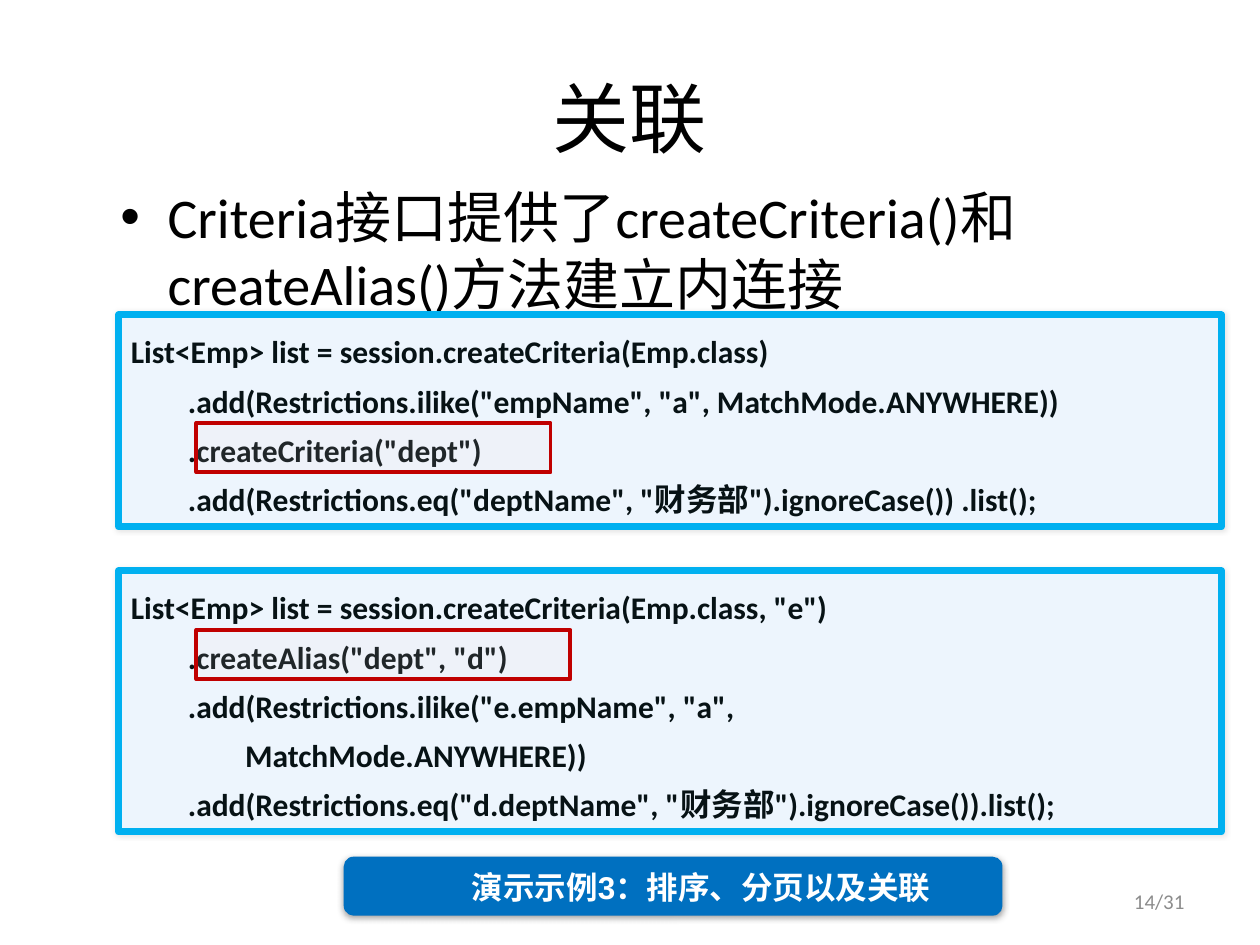
from lxml.etree import SubElement
from pptx import Presentation
from pptx.dml.color import RGBColor
from pptx.enum.shapes import MSO_SHAPE as Kind
from pptx.enum.text import MSO_ANCHOR as Anchor, MSO_AUTO_SIZE as Fit, PP_ALIGN as Align
from pptx.oxml import parse_xml
from pptx.oxml.ns import nsdecls, qn
from pptx.util import Cm, Pt


def rgb(code):
    return RGBColor.from_string(code)


def write(shape, lines, size, color, align=Align.LEFT, anchor=Anchor.TOP,
          font="Calibri", bold=False):
    """Fill the shape with one paragraph per line and return its paragraphs."""
    frame = shape.text_frame
    frame.word_wrap = True
    frame.vertical_anchor = anchor
    frame.text = "\n".join(lines)
    for para in frame.paragraphs:
        para.alignment = align
        para.font.name = font
        para.font.size = Pt(size)
        para.font.bold = bold
        para.font.color.rgb = rgb(color)
    return frame.paragraphs


deck = Presentation()
deck.slide_width, deck.slide_height = Cm(25.4), Cm(19.05)
slide = deck.slides.add_slide(deck.slide_layouts[6])
shapes = slide.shapes

# Title, bullet and page number
title = shapes.add_textbox(Cm(1.27), Cm(0.76), Cm(22.86), Cm(3.18))
write(title, ["关联"], 44, "000000", Align.CENTER, Anchor.MIDDLE)

body = shapes.add_textbox(Cm(2.18), Cm(3.56), Cm(23.83), Cm(2.79))
point = write(body, ["Criteria接口提供了createCriteria()和createAlias()方法建立内连接"],
              32, "000000")[0]
point.space_before = Pt(6.4)
props = point._p.get_or_add_pPr()
props.set("marL", str(Cm(0.95)))
props.set("indent", str(Cm(-0.95)))
mark = parse_xml(f'<a:buFont {nsdecls("a")} typeface="Arial"/>')
dot = parse_xml(f'<a:buChar {nsdecls("a")} char="•"/>')
props.find(qn("a:spcBef")).addnext(mark)
mark.addnext(dot)

page = shapes.add_textbox(Cm(18.21), Cm(17.65), Cm(5.92), Cm(1.02))
write(page, ["14/31"], 12, "8C8C8C", Align.RIGHT, Anchor.MIDDLE)

# Demo banner
group = shapes.add_group_shape()
banner = group.shapes.add_shape(Kind.FLOWCHART_ALTERNATE_PROCESS,
                                Cm(6.93), Cm(17.27), Cm(13.28), Cm(1.19))
banner.fill.solid()
banner.fill.fore_color.rgb = rgb("0070C0")
banner.line.fill.background()
label = group.shapes.add_textbox(Cm(8.66), Cm(17.37), Cm(10.95), Cm(1.8))
write(label, ["演示示例3：排序、分页以及关联"], 18, "FFFFFF", Align.CENTER,
      font="Arial", bold=True)
shaded = [(banner, "262626", 43, 4, 1, 90)]

# Code panels: top, height, lines as (indent level, text)
panels = [
    (6.35, 4.27, [
        (0, 'List<Emp> list = session.createCriteria(Emp.class)'),
        (1, '.add(Restrictions.ilike("empName", "a", MatchMode.ANYWHERE))'),
        (1, '.createCriteria("dept")'),
        (1, '.add(Restrictions.eq("deptName", "财务部").ignoreCase()) .list();'),
    ]),
    (11.51, 5.26, [
        (0, 'List<Emp> list = session.createCriteria(Emp.class, "e")'),
        (1, '.createAlias("dept", "d")'),
        (1, '.add(Restrictions.ilike("e.empName", "a",'),
        (2, 'MatchMode.ANYWHERE))'),
        (1, '.add(Restrictions.eq("d.deptName", "财务部").ignoreCase()).list();'),
    ]),
]
for top, high, code in panels:
    panel = shapes.add_shape(Kind.ROUNDED_RECTANGLE, Cm(2.39), Cm(top), Cm(22.23), Cm(high))
    panel.adjustments[0] = 0
    panel.fill.solid()
    panel.fill.fore_color.rgb = rgb("EDF5FD")
    panel.line.color.rgb = rgb("00B0F0")
    panel.line.width = Pt(4)
    paras = write(panel, [text for _, text in code], 18, "071215", bold=True)
    panel.text_frame.auto_size = Fit.SHAPE_TO_FIT_TEXT
    for para, (level, _) in zip(paras, code):
        para.line_spacing = 1.3
        para._p.get_or_add_pPr().set("marL", str(Cm(1.15 * level)))
    shaded.append((panel, "000000", 10, 3, 0, 0))

# Shadows: colour, opacity in percent, blur and distance in points, angle
for shape, color, alpha, blur, dist, angle in shaded:
    shape.shadow.inherit = False
    effects = shape._element.spPr.find(qn("a:effectLst"))
    shade = SubElement(effects, qn("a:outerShdw"), blurRad=str(Pt(blur)),
                       dist=str(Pt(dist)), dir=str(angle * 60000), rotWithShape="0")
    tint = SubElement(shade, qn("a:srgbClr"), val=color)
    SubElement(tint, qn("a:alpha"), val=str(alpha * 1000))

# Frames around the joining calls
for top, wide in [(8.53, 7.14), (12.7, 7.54)]:
    frame = shapes.add_shape(Kind.RECTANGLE, Cm(3.96), Cm(top), Cm(wide), Cm(0.99))
    frame.shadow.inherit = False
    frame.fill.solid()
    frame.fill.fore_color.rgb = rgb("FFDDDD")
    tint = frame._element.spPr.find(qn("a:solidFill"))[0]
    SubElement(tint, qn("a:alpha"), val="10000")
    frame.line.color.rgb = rgb("C00000")
    frame.line.width = Pt(2.25)

deck.save("out.pptx")
